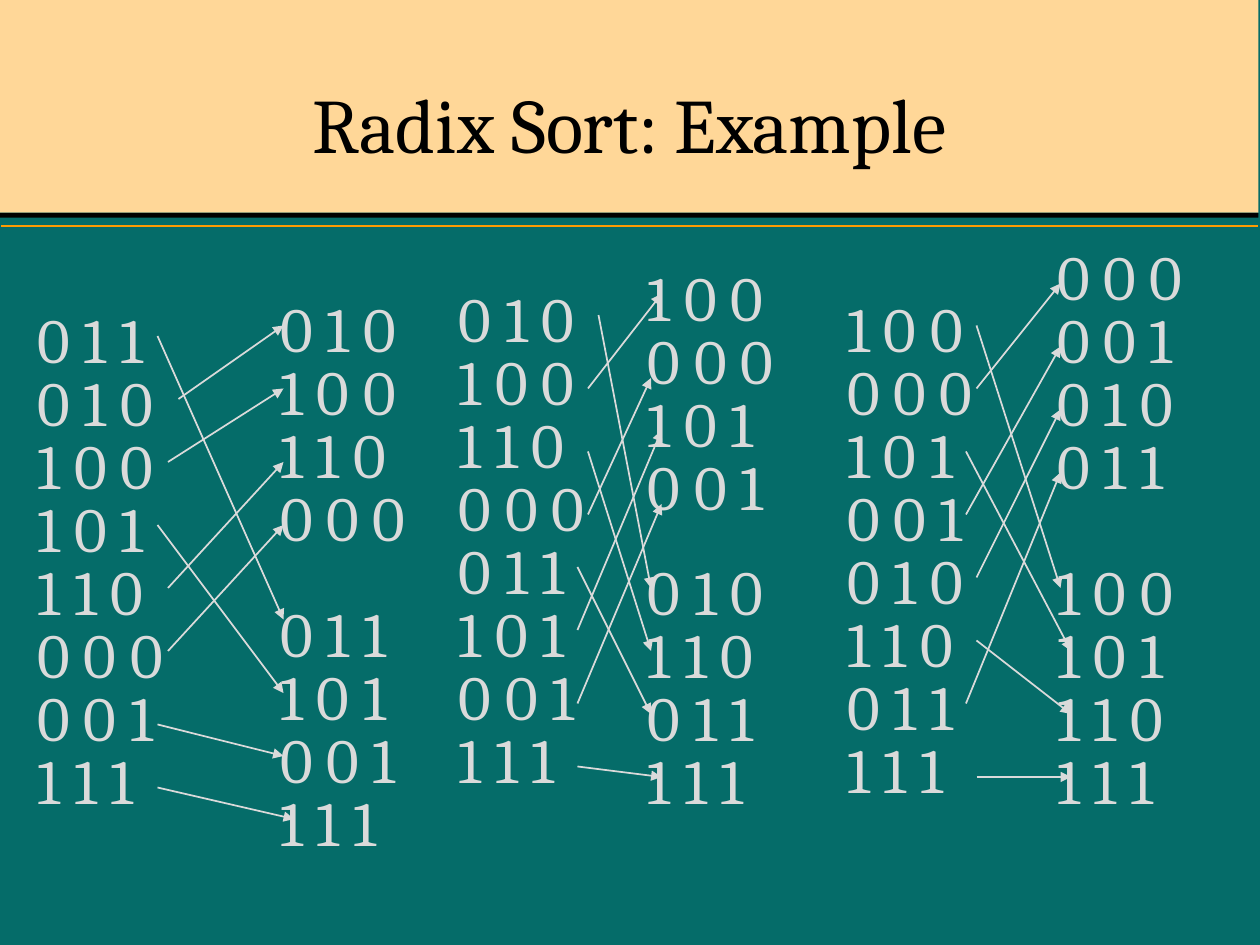
from lxml.etree import SubElement
from pptx import Presentation
from pptx.dml.color import RGBColor
from pptx.enum.shapes import MSO_CONNECTOR, MSO_SHAPE
from pptx.enum.text import MSO_ANCHOR, MSO_AUTO_SIZE, PP_ALIGN
from pptx.oxml.ns import qn
from pptx.util import Cm, Pt

TEAL = RGBColor(0x05, 0x6C, 0x69)
PEACH = RGBColor(0xFF, 0xD7, 0x98)
BLACK = RGBColor(0x00, 0x00, 0x00)
ORANGE = RGBColor(0xFE, 0x9B, 0x03)
SILVER = RGBColor(0xDA, 0xDA, 0xDA)

TITLE_FRAME = {"word_wrap": True, "vertical_anchor": MSO_ANCHOR.MIDDLE}
TITLE_FONT = {"name": "Cambria", "size": Pt(44)}
KEY_FRAME = {"word_wrap": False, "auto_size": MSO_AUTO_SIZE.SHAPE_TO_FIT_TEXT}
KEY_FONT = {"name": "Cambria", "size": Pt(36)}

ROW_STEP = 6
KEY_GROUPS = [
    (2.4, 28, ["011", "010", "100", "101", "110", "000", "001", "111"]),
    (25.5, 27, ["010", "100", "110", "000"]),
    (25.5, 56, ["011", "101", "001", "111"]),
    (42.5, 26, ["010", "100", "110", "000", "011", "101", "001", "111"]),
    (60.5, 24, ["100", "000", "101", "001"]),
    (60.5, 52, ["010", "110", "011", "111"]),
    (79.5, 27, ["100", "000", "101", "001", "010", "110", "011", "111"]),
    (99.5, 22, ["000", "001", "010", "011"]),
    (99.5, 52, ["100", "101", "110", "111"]),
]
LAST_BIT_MOVES = [
    (17, 38, 27, 31), (16, 44, 27, 37), (16, 56, 27, 44), (16, 62, 27, 50),
    (15, 32, 27, 59), (15, 50, 27, 66), (15, 69, 27, 72), (15, 75, 28, 78),
]
MIDDLE_BIT_MOVES = [
    (56, 37, 63, 28), (56, 49, 62, 36), (55, 60, 63, 41), (55, 67, 63, 48),
    (57, 30, 62, 56), (56, 43, 62, 62), (55, 54, 62, 68), (55, 73, 63, 74),
]
FIRST_BIT_MOVES = [
    (93, 37, 101, 27), (92, 49, 101, 33), (93, 55, 101, 39), (92, 67, 101, 45),
    (93, 31, 101, 56), (92, 43, 102, 62), (93, 61, 102, 68), (93, 74, 102, 74),
]


def grid(units):
    """Turn grid units, twelve to 2.54 cm, into a length."""
    return Cm(units * 2.54 / 12)


def add_band(page, top, height, color):
    """Add a plain band across the page."""
    band = page.shapes.add_shape(MSO_SHAPE.RECTANGLE, 0, top, Cm(25.37), height)
    band.shadow.inherit = False
    band.fill.solid()
    band.fill.fore_color.rgb = color
    band.line.fill.background()


def add_text(page, text, area, color, frame_format, font_format, alignment):
    """Add a text box with one formatted paragraph."""
    frame = page.shapes.add_textbox(*area).text_frame
    for name, value in frame_format.items():
        setattr(frame, name, value)
    paragraph = frame.paragraphs[0]
    paragraph.alignment = alignment
    span = paragraph.add_run()
    span.text = text
    for name, value in font_format.items():
        setattr(span.font, name, value)
    span.font.color.rgb = color


def add_line(page, ends, color, arrow=False):
    """Add a thin straight line, with an arrowhead at its end if asked."""
    connector = page.shapes.add_connector(MSO_CONNECTOR.STRAIGHT, *ends)
    connector.line.color.rgb = color
    connector.line.width = Pt(1)
    if arrow:
        SubElement(connector.line._get_or_add_ln(), qn("a:tailEnd"), type="triangle")
    SubElement(connector._element.spPr, qn("a:effectLst"))


def add_keys(page, left, top, keys):
    """Stack the keys of one group downwards."""
    for row, key in enumerate(keys):
        area = (grid(left), grid(top + row * ROW_STEP), Cm(3.3), Cm(1.78))
        add_text(page, " ".join(key), area, SILVER, KEY_FRAME, KEY_FONT, PP_ALIGN.LEFT)


def main():
    """Build the radix sort slide."""
    deck = Presentation()
    deck.slide_width, deck.slide_height = Cm(25.4), Cm(19.05)
    page = deck.slides.add_slide(deck.slide_layouts[6])
    page.background.fill.solid()
    page.background.fill.fore_color.rgb = TEAL

    add_band(page, 0, Cm(4.29), PEACH)
    add_band(page, Cm(4.29), Cm(0.1), BLACK)
    add_line(page, (Cm(0.03), Cm(4.55), Cm(25.35), Cm(4.55)), ORANGE)
    title_area = (Cm(1.9), Cm(0.94), Cm(21.6), Cm(3.07))
    add_text(page, "Radix Sort: Example", title_area, BLACK,
             TITLE_FRAME, TITLE_FONT, PP_ALIGN.CENTER)

    for left, top, keys in KEY_GROUPS:
        add_keys(page, left, top, keys)
    for move in LAST_BIT_MOVES + MIDDLE_BIT_MOVES + FIRST_BIT_MOVES:
        add_line(page, [grid(units) for units in move], SILVER, arrow=True)
    deck.save("out.pptx")


if __name__ == "__main__":
    main()
